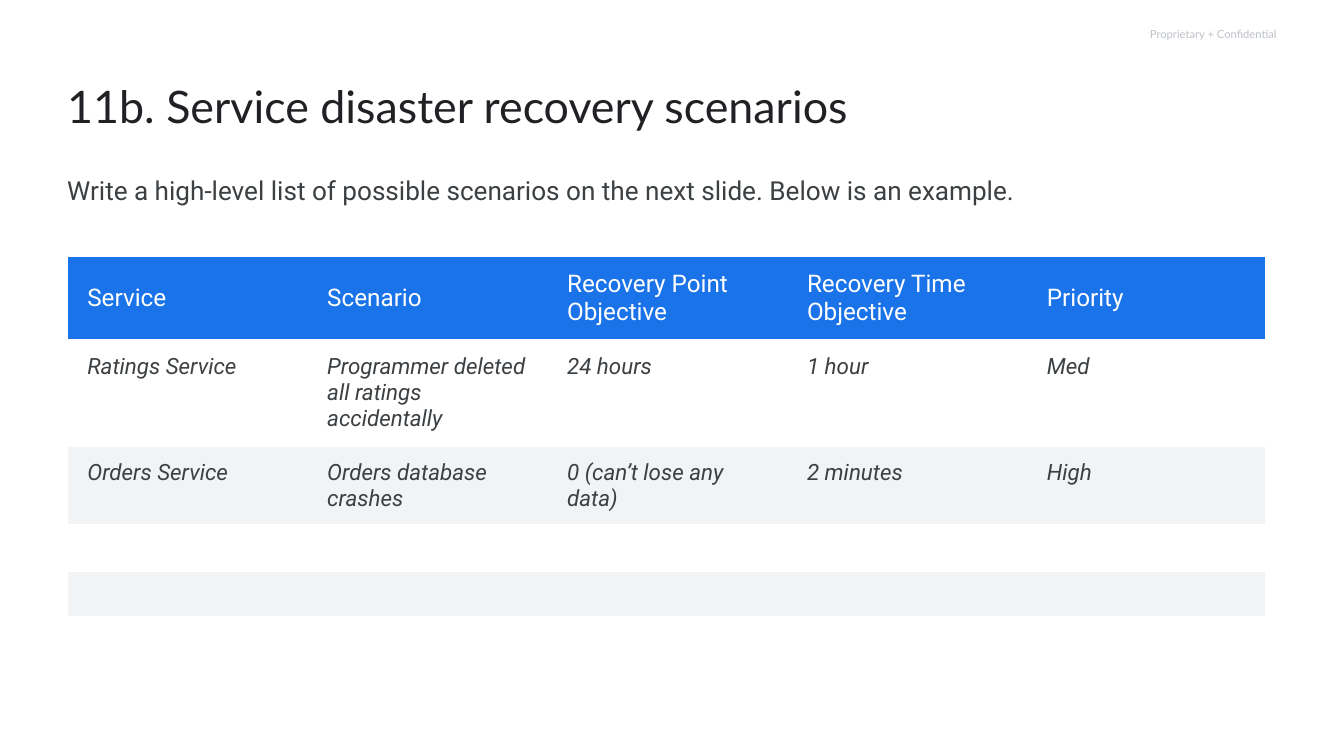
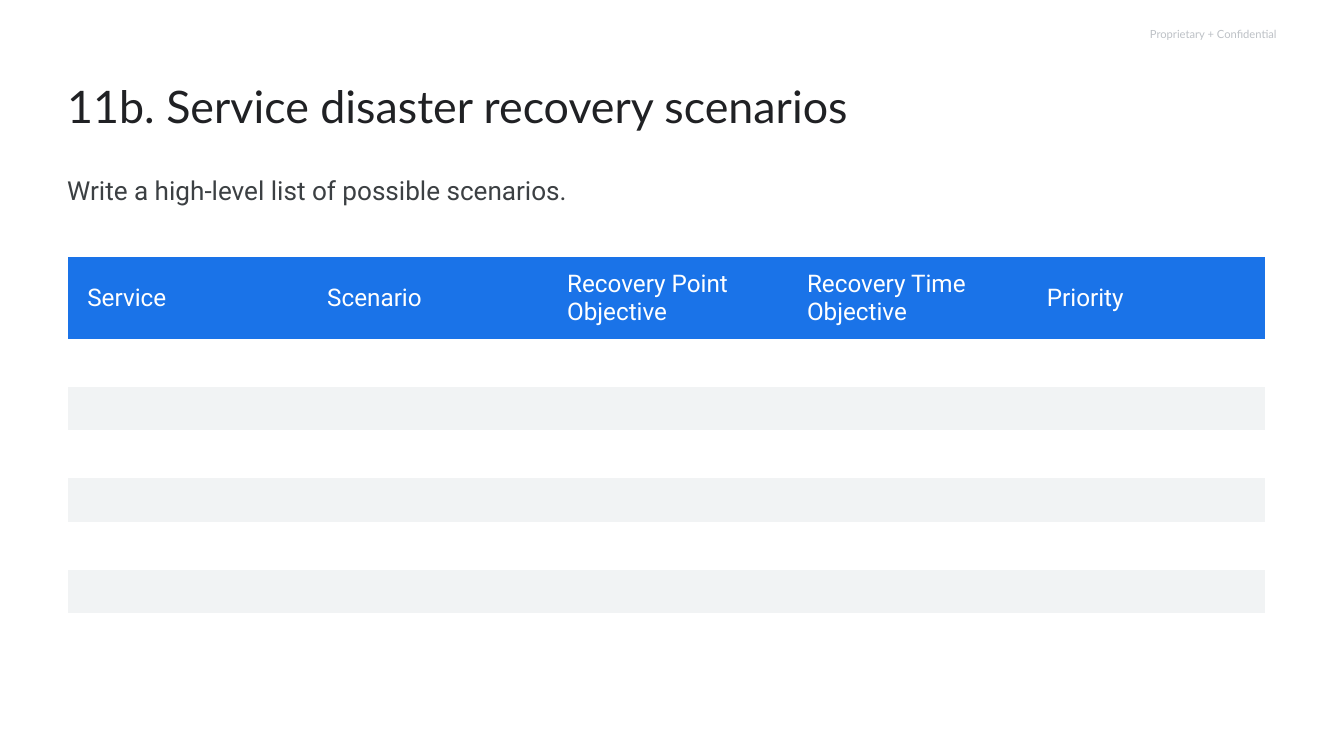
from lxml import etree
from pptx import Presentation
from pptx.dml.color import RGBColor
from pptx.enum.text import MSO_ANCHOR as Anchor, MSO_AUTO_SIZE as Fit, PP_ALIGN as Align
from pptx.oxml.ns import qn
from pptx.util import Inches, Pt

# Shared style
WHITE = RGBColor(0xFF, 0xFF, 0xFF)
BLUE = RGBColor(0x1A, 0x73, 0xE8)
BAND = RGBColor(0xF1, 0xF3, 0xF4)
INK = RGBColor(0x20, 0x21, 0x24)
GREY = RGBColor(0x3C, 0x40, 0x43)
PALE = RGBColor(0xBD, 0xC1, 0xC6)
LEFT, WIDTH, TOP = 1, 17.85, 3.81
HEAD_H, EMPTY_H = 1.25, 0.68

# Content
TITLE = "11b. Service disaster recovery scenarios"
NOTICE = "Proprietary + Confidential"
HEADS = ["Service", "Scenario", "Recovery Point Objective",
         "Recovery Time Objective", "Priority"]
SLIDES = [
    {"lead": "Write a high-level list of possible scenarios on the next slide. "
             "Below is an example.",
     "rows": [
         (1.57, ["Ratings Service", "Programmer deleted all ratings accidentally",
                 "24 hours", "1 hour", "Med"]),
         (1.18, ["Orders Service", "Orders database crashes",
                 "0 (can’t lose any data)", "2 minutes", "High"]),
     ],
     "empty": 2},
    {"lead": "Write a high-level list of possible scenarios.",
     "rows": [], "empty": 6},
]


def write(frame, text, size, color, font="Roboto", italic=False,
          align=Align.LEFT, spacing=1.0):
    """Put one formatted paragraph into a text frame."""
    para = frame.paragraphs[0]
    para.text = text
    para.alignment = align
    para.line_spacing = spacing
    para.space_before = Pt(0)
    face = para.runs[0].font
    face.name, face.size, face.italic = font, Pt(size), italic
    face.color.rgb = color
    return para


def place(shape, left, top, width, height, right=0, anchor=Anchor.TOP):
    """Move a text shape and set up its frame."""
    shape.left, shape.top = Inches(left), Inches(top)
    shape.width, shape.height = Inches(width), Inches(height)
    frame = shape.text_frame
    frame.word_wrap = True
    frame.auto_size = Fit.NONE
    frame.vertical_anchor = anchor
    frame.margin_left = frame.margin_top = frame.margin_bottom = 0
    frame.margin_right = Inches(right)
    return frame


def border(cell, first, last):
    """White rules above, below and at the table's outer sides."""
    props = cell._tc.get_or_add_tcPr()
    sides = {"lnL": first, "lnR": last, "lnT": True, "lnB": True}
    for spot, (side, shown) in enumerate(sides.items()):
        line = etree.Element(qn("a:" + side), w=str(Pt(3)))
        if shown:
            fill = etree.SubElement(line, qn("a:solidFill"))
            etree.SubElement(fill, qn("a:srgbClr"), val=str(WHITE))
        else:
            etree.SubElement(line, qn("a:noFill"))
        props.insert(spot, line)


def add_grid(slide, rows, empty):
    """Header row, filled rows, then empty rows, with every second one grey."""
    count = len(HEADS)
    lines = [(HEAD_H, HEADS)] + rows + [(EMPTY_H, [""] * count)] * empty
    total = sum(height for height, _ in lines)
    grid = slide.shapes.add_table(len(lines), count, Inches(LEFT), Inches(TOP),
                                  Inches(WIDTH), Inches(total)).table
    grid.first_row = grid.horz_banding = False
    for col in grid.columns:
        col.width = Inches(WIDTH / count)
    for r, (height, texts) in enumerate(lines):
        grid.rows[r].height = Inches(height)
        for c, text in enumerate(texts):
            cell = grid.cell(r, c)
            if r == 0 or r % 2 == 0:
                cell.fill.solid()
                cell.fill.fore_color.rgb = BAND if r else BLUE
            else:
                cell.fill.background()
            border(cell, c == 0, c == count - 1)
            if not text:
                continue
            cell.margin_left = Inches(0.3)
            cell.margin_right = cell.margin_top = cell.margin_bottom = Inches(0.2)
            if r:
                write(cell.text_frame, text, 24, GREY, italic=True)
            else:
                cell.vertical_anchor = Anchor.MIDDLE
                write(cell.text_frame, text, 26, WHITE)


def add_slide(deck, lead, rows, empty):
    slide = deck.slides.add_slide(deck.slide_layouts[1])
    slide.background.fill.solid()
    slide.background.fill.fore_color.rgb = WHITE

    # Notice at top right
    box = slide.shapes.add_textbox(0, 0, 0, 0)
    frame = place(box, 14.79, 0, 4.21, 1.01, anchor=Anchor.MIDDLE)
    write(frame, NOTICE, 12, PALE, font="Lato", align=Align.RIGHT)

    # Title and lead line
    frame = place(slide.shapes.title, LEFT, 1.01, WIDTH, 2.19, right=0.2)
    write(frame, TITLE, 48, INK, font="Lato", spacing=1.2)
    frame = place(slide.placeholders[1], LEFT, 2.53, 18.25, 0.8)
    props = frame.paragraphs[0]._p.get_or_add_pPr()
    props.set("marL", "0")
    props.set("indent", "0")
    etree.SubElement(props, qn("a:buNone"))
    write(frame, lead, 28, GREY, spacing=1.15)

    # Scenario table
    add_grid(slide, rows, empty)


def main():
    deck = Presentation()
    deck.slide_width, deck.slide_height = Inches(20), Inches(11.25)
    for item in SLIDES:
        add_slide(deck, **item)
    deck.save("out.pptx")


if __name__ == "__main__":
    main()
